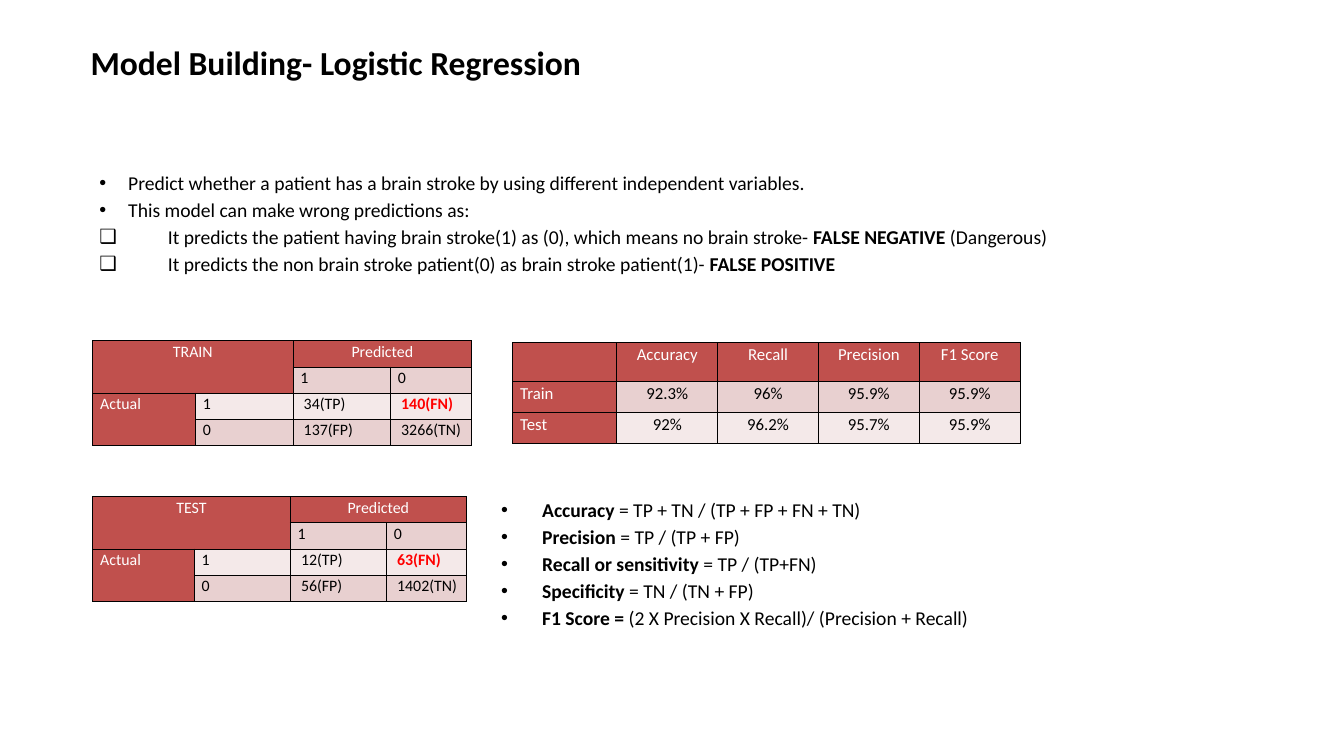
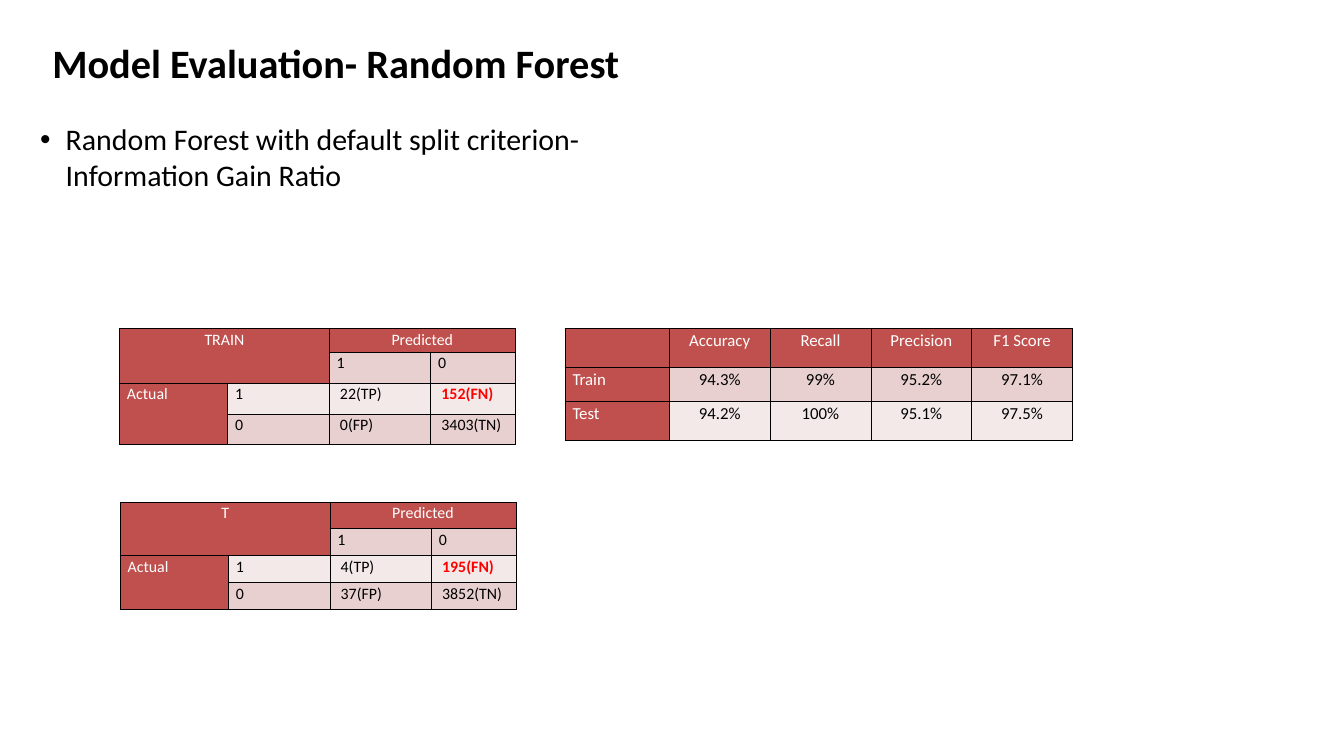
from lxml import etree
from pptx import Presentation
from pptx import util as u
from pptx.dml.color import RGBColor
from pptx.enum import text
from pptx.oxml import ns

COLORS = {
    "ink": "000000",
    "paper": "FFFFFF",
    "header": "C0504D",
    "band_dark": "E8D0D0",
    "band_light": "F4E9E9",
    "alert": "FF0000",
}
FONT = "Calibri"
CENTER, LEFT = text.PP_ALIGN.CENTER, text.PP_ALIGN.LEFT
METRICS = ["Accuracy", "Recall", "Precision", "F1 Score"]
METRIC_COLS = [1.55] + [1.5] * 4


class Deck:
    """Holds the style and the current slide."""

    def __init__(self):
        self.prs = Presentation()
        self.prs.slide_width, self.prs.slide_height = u.Inches(20), u.Inches(11.25)
        self.slide = None

    def new_slide(self, title, size):
        self.slide = self.prs.slides.add_slide(self.prs.slide_layouts[6])
        frame = self.text_frame(0.5, 0.3, 9, 1.25)
        frame.vertical_anchor = text.MSO_ANCHOR.MIDDLE
        frame.paragraphs[0].alignment = CENTER
        self.run(frame.paragraphs[0], title, size, bold=True)

    def text_frame(self, left, top, width, height):
        box = self.slide.shapes.add_textbox(*map(u.Inches, (left, top, width, height)))
        box.text_frame.word_wrap = True
        return box.text_frame

    def run(self, paragraph, words, size, color="ink", bold=False):
        run = paragraph.add_run()
        run.text = words
        run.font.name, run.font.size, run.font.bold = FONT, u.Pt(size), bold
        run.font.color.rgb = RGBColor.from_string(COLORS[color])

    def bullets(self, box, items, size, before=0, spacing=1.0):
        """Each item is (bullet sign, indent, runs); each run is (words, bold)."""
        frame = self.text_frame(*box)
        for i, (sign, indent, runs) in enumerate(items):
            paragraph = frame.add_paragraph() if i else frame.paragraphs[0]
            paragraph.space_before = u.Pt(before)
            paragraph.line_spacing = spacing
            props = paragraph._p.get_or_add_pPr()
            props.set("marL", str(u.Inches(indent)))
            props.set("indent", str(-u.Inches(indent)))
            etree.SubElement(props, ns.qn("a:buFont")).set("typeface", "Arial")
            etree.SubElement(props, ns.qn("a:buChar")).set("char", sign)
            for words, bold in runs:
                self.run(paragraph, words, size, bold=bold)

    def table(self, left, top, cols, rows):
        frame = self.slide.shapes.add_table(
            len(rows), len(cols), *map(u.Inches, (left, top, sum(cols), sum(rows))))
        grid = frame.table
        grid.first_row = grid.horz_banding = False
        for column, width in zip(grid.columns, cols):
            column.width = u.Inches(width)
        for row, height in zip(grid.rows, rows):
            row.height = u.Inches(height)
        return grid

    def cell(self, cell, words, fill, size, align=LEFT, color="ink", bold=False, inset=0.11):
        cell.margin_left, cell.margin_right = u.Inches(inset), u.Inches(0.11)
        cell.margin_top = cell.margin_bottom = 0
        cell.fill.solid()
        cell.fill.fore_color.rgb = RGBColor.from_string(COLORS[fill])
        self.borders(cell)
        paragraph = cell.text_frame.paragraphs[0]
        paragraph.alignment, paragraph.line_spacing = align, 1.07
        paragraph.space_after = u.Pt(8)
        if words:
            self.run(paragraph, words, size, color, bold)

    def borders(self, cell):
        props = cell._tc.get_or_add_tcPr()
        for i, side in enumerate(("lnL", "lnR", "lnT", "lnB")):
            line = etree.Element(ns.qn("a:" + side), w=str(u.Pt(1)))
            fill = etree.SubElement(line, ns.qn("a:solidFill"))
            etree.SubElement(fill, ns.qn("a:srgbClr")).set("val", COLORS["ink"])
            props.insert(i, line)

    def band(self, row):
        return "band_dark" if row % 2 else "band_light"

    def confusion_matrix(self, left, top, cols, rows, name, tp, fn, fp, tn):
        grid = self.table(left, top, cols, rows)
        content = [
            [name, "", "Predicted", ""],
            ["", "", "1", "0"],
            ["Actual", "1", f"{tp}(TP)", f"{fn}(FN)"],
            ["", "0", f"{fp}(FP)", f"{tn}(TN)"],
        ]
        for r, line in enumerate(content):
            for c, words in enumerate(line):
                header = r == 0 or c == 0 or (r, c) == (1, 1)
                missed = (r, c) == (2, 3)
                self.cell(
                    grid.cell(r, c), words, "header" if header else self.band(r), 17,
                    align=CENTER if r == 0 else LEFT,
                    color="paper" if header else "alert" if missed else "ink",
                    bold=missed, inset=0.16 if r > 1 and c > 1 else 0.11)
        for first, last in [((0, 0), (1, 1)), ((0, 2), (0, 3)), ((2, 0), (3, 0))]:
            grid.cell(*first).merge(grid.cell(*last))

    def metrics(self, left, top, rows, train, test):
        grid = self.table(left, top, METRIC_COLS, rows)
        content = [["", *METRICS], ["Train", *train], ["Test", *test]]
        for r, line in enumerate(content):
            for c, words in enumerate(line):
                header = r == 0 or c == 0
                self.cell(
                    grid.cell(r, c), words, "header" if header else self.band(r), 18,
                    align=CENTER if c else LEFT, color="paper" if header else "ink")


def logistic_regression(deck):
    deck.new_slide("Model Building- Logistic Regression", 36)

    # Purpose and kinds of wrong prediction
    deck.bullets((1.38, 2.49, 17.25, 2), [
        ("•", 0.43, [("Predict whether a patient has a brain stroke by using different "
                      "independent variables.", False)]),
        ("•", 0.43, [("This model can make wrong predictions as:", False)]),
        ("❑", 1.02, [("It predicts the patient having brain stroke(1) as (0), which means "
                      "no brain stroke- ", False),
                     ("FALSE NEGATIVE ", True), ("(Dangerous)", False)]),
        ("❑", 1.02, [("It predicts the non brain stroke patient(0) as brain stroke "
                      "patient(1)- ", False), ("FALSE POSITIVE", True)]),
    ], 21, before=4)

    # Results
    rows = [0.39] * 4
    deck.confusion_matrix(1.38, 5.07, [1.53, 1.45, 1.45, 1.21], rows,
                          "TRAIN", 34, 140, 137, 3266)
    deck.confusion_matrix(1.38, 7.39, [1.51, 1.43, 1.43, 1.19], rows,
                          "TEST", 12, 63, 56, 1402)
    deck.metrics(7.63, 5.1, [0.58, 0.46, 0.46],
                 ["92.3%", "96%", "95.9%", "95.9%"],
                 ["92%", "96.2%", "95.7%", "95.9%"])

    # Formulas
    formulas = [
        ("Accuracy", " = TP + TN / (TP + FP + FN + TN)"),
        ("Precision ", "= TP / (TP + FP)"),
        ("Recall or sensitivity ", "= TP / (TP+FN)"),
        ("Specificity ", "= TN / (TN + FP)"),
        ("F1 Score = ", "(2 X Precision X Recall)/ (Precision + Recall)"),
    ]
    deck.bullets((7.36, 7.31, 10, 2.11),
                 [("•", 0.61, [(name, True), (rule, False)]) for name, rule in formulas],
                 21, spacing=1.15)


def random_forest(deck):
    deck.new_slide("Model Evaluation- Random Forest", 43.2)

    # Split criterion
    deck.bullets((0.5, 1.75, 9, 1.25), [
        ("•", 0.38, [("Random Forest with default split criterion- "
                      "Information Gain Ratio", False)]),
    ], 32)

    # Results
    cols = [1.61, 1.51, 1.51, 1.26]
    deck.confusion_matrix(1.78, 4.89, cols, [0.35] + [0.46] * 3,
                          "TRAIN", 22, 152, 0, 3403)
    deck.confusion_matrix(1.79, 7.47, cols, [0.4] * 4, "T", 4, 195, 37, 3852)
    deck.metrics(8.41, 4.89, [0.58, 0.51, 0.58],
                 ["94.3%", "99%", "95.2%", "97.1%"],
                 ["94.2%", "100%", "95.1%", "97.5%"])


def main():
    deck = Deck()
    logistic_regression(deck)
    random_forest(deck)
    deck.prs.save("out.pptx")


if __name__ == "__main__":
    main()
